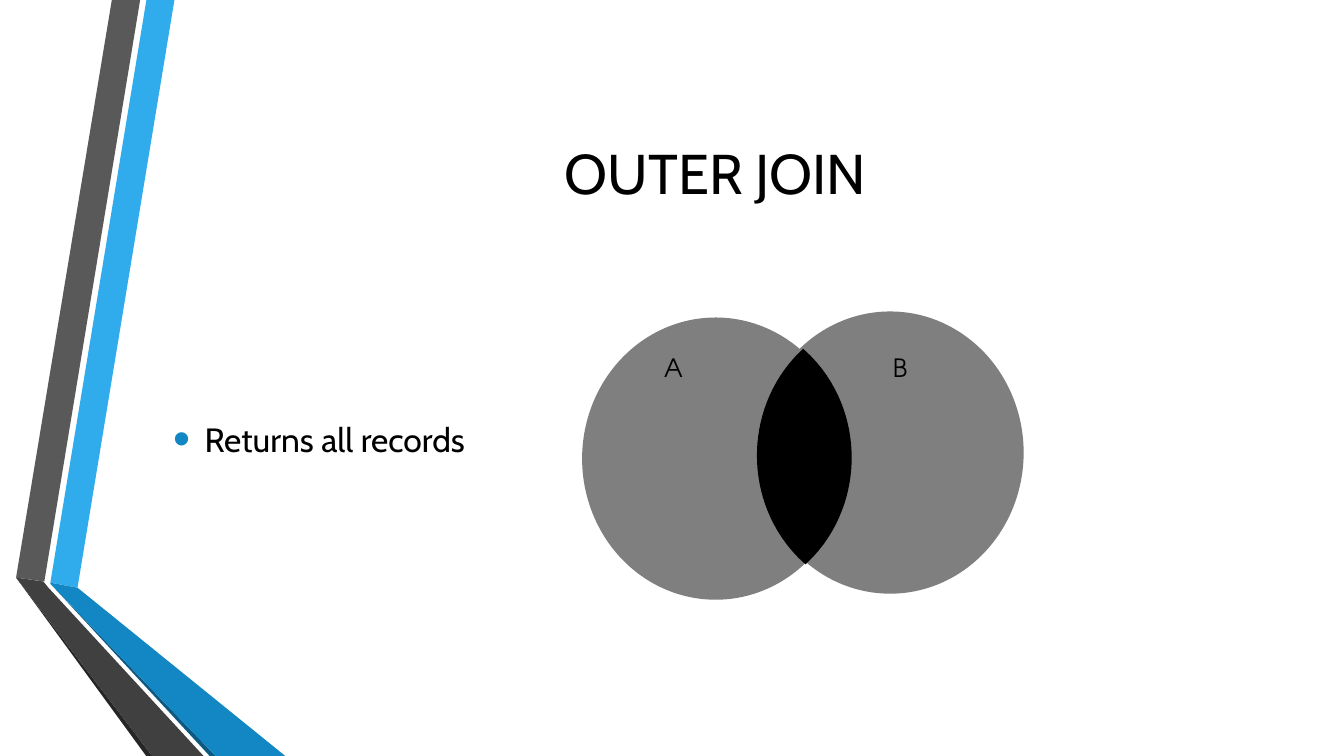
from lxml import etree
from pptx import Presentation
from pptx import util as u
from pptx.dml.color import RGBColor
from pptx.enum import shapes, text
from pptx.oxml.ns import qn

BLACK, GRAY, BLUE = "000000", "7F7F7F", "1287C3"
BANDS = [
    ("30ACEC", [(36, 416.2), (55.4, 419.8), (124.6, 0), (104.6, 0)]),
    ("595959", [(100.1, 0), (79.9, 0), (11.5, 412.6), (31.7, 415.4)]),
    ("262626", [(11.5, 412.6), (104.4, 540), (108.7, 540)]),
    ("0C5A82", [(36, 416.9), (149.8, 540), (154.1, 540)]),
    (BLUE, [(36, 416.9), (154.1, 540), (203.8, 540), (55.4, 419.8), (36, 416.2)]),
    ("404040", [(145.4, 540), (34.6, 419.8), (31, 415.4), (11.5, 412.6), (108.7, 540)]),
]
RX, RY = 95.4, 100.8  # radii of both circles


def color(value):
    return RGBColor.from_string(value)


class Deck:
    def __init__(self):
        self.prs = Presentation()
        self.prs.slide_width, self.prs.slide_height = u.Pt(960), u.Pt(540)
        self.slide = self.prs.slides.add_slide(self.prs.slide_layouts[6])
        self.font = "Cabin"

    def paint(self, shape, fill):
        shape.shadow.inherit = False
        shape.fill.solid()
        shape.fill.fore_color.rgb = color(fill)
        shape.line.fill.background()

    def shape(self, points, fill):
        """Draw a closed outline through the points."""
        spots = [(u.Pt(x), u.Pt(y)) for x, y in points]
        pen = self.slide.shapes.build_freeform(*spots[0], scale=1.0)
        pen.add_line_segments(spots[1:], close=True)
        self.paint(pen.convert_to_shape(), fill)

    def circle(self, x, y, fill):
        """Draw a circle around the centre x, y."""
        oval = self.slide.shapes.add_shape(
            shapes.MSO_SHAPE.OVAL, u.Pt(x - RX), u.Pt(y - RY), u.Pt(2 * RX), u.Pt(2 * RY))
        self.paint(oval, fill)

    def text(self, words, x, y, w, h, size, font=None, align="LEFT",
             anchor="TOP", foot=3.6, dot=None):
        box = self.slide.shapes.add_textbox(u.Pt(x), u.Pt(y), u.Pt(w), u.Pt(h))
        frame = box.text_frame
        frame.word_wrap = True
        frame.margin_bottom = u.Pt(foot)
        frame.vertical_anchor = getattr(text.MSO_ANCHOR, anchor)
        para = frame.paragraphs[0]
        para.alignment = getattr(text.PP_ALIGN, align)
        if dot:
            self.bullet(para, dot)
        run = para.add_run()
        run.text = words
        run.font.name = font or self.font
        run.font.size = u.Pt(size)
        run.font.color.rgb = color(BLACK)

    def bullet(self, para, fill):
        props = para._p.get_or_add_pPr()
        props.set("marL", str(u.Pt(22.5)))
        props.set("indent", str(-u.Pt(22.5)))
        tint = etree.SubElement(props, qn("a:buClr"))
        etree.SubElement(tint, qn("a:srgbClr"), val=fill)
        etree.SubElement(props, qn("a:buSzPct"), val="145000")
        etree.SubElement(props, qn("a:buFont"), typeface="Arial")
        etree.SubElement(props, qn("a:buChar"), char="•")


def arc(x, y, side, top, end, steps=32):
    """Points down one side (-1 left, 1 right) of a circle around x, y."""
    rows = [top + (end - top) * i / steps for i in range(steps + 1)]
    return [(x + side * RX * (1 - ((row - y) / RY) ** 2) ** 0.5, row) for row in rows]


def main():
    deck = Deck()
    for fill, points in BANDS:
        deck.shape(points, fill)

    deck.text("OUTER JOIN", 116.6, 54, 789.1, 138.2, 40, align="CENTER", anchor="MIDDLE")
    deck.text("Returns all records", 116.6, 210.2, 789.1, 246.2, 24,
              anchor="MIDDLE", foot=43, dot=BLUE)

    deck.circle(635.8, 323.3, GRAY)
    deck.circle(511.2, 327.6, GRAY)
    left = arc(636.1, 325.4, -1, 249.1, 403.2)
    right = arc(513, 326.9, 1, 249.1, 403.2)
    deck.shape(left + right[::-1], BLACK)

    for name, x, w in (("A", 467.3, 38.2), ("B", 630.7, 41)):
        deck.text(name, x, 248.4, w, 28.8, 18, font="TeX Gyre Adventor")

    deck.prs.save("out.pptx")


if __name__ == "__main__":
    main()
